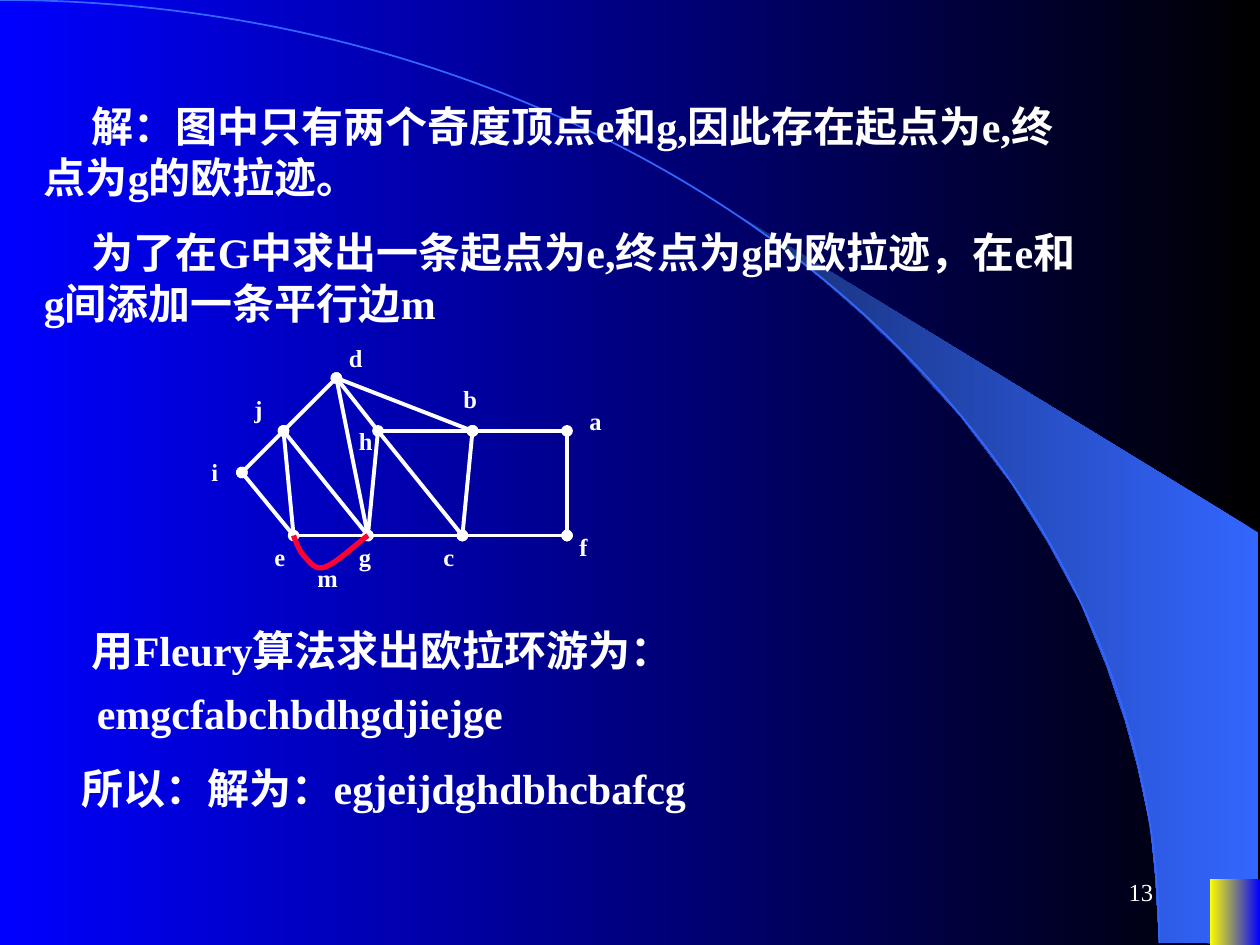
from pptx import Presentation
from pptx.dml.color import RGBColor as RGB
from pptx.enum.shapes import MSO_CONNECTOR as CONN, MSO_SHAPE as SHAPE
from pptx.enum.text import MSO_ANCHOR as ANCHOR, PP_ALIGN as ALIGN
from pptx.oxml.ns import qn
from pptx.util import Inches, Pt
from lxml.etree import SubElement

COLORS = {"black": "000000", "blue": "0000FF", "sky": "3366FF", "navy": "172F75",
          "yellow": "FFFF00", "white": "FFFFFF", "red": "FF0033"}
C = {name: RGB.from_string(value) for name, value in COLORS.items()}

prs = Presentation()
prs.slide_width, prs.slide_height = Inches(10), Inches(7.5)
s = prs.slides.add_slide(prs.slide_layouts[6])


def add_text(shapes, text, box, size, bold=True):
    tf = shapes.add_textbox(*map(Inches, box)).text_frame
    tf.word_wrap = True
    p = tf.paragraphs[0]
    p.text = text
    p.font.name, p.font.size, p.font.bold = "Times New Roman", Pt(size), bold
    p.font.color.rgb = C["white"]
    return p


def add_outline(shapes, outline, close):
    points = [tuple(map(Inches, pt)) for pt in outline]
    builder = shapes.build_freeform(*points[0])
    builder.add_line_segments(points[1:], close=close)
    return builder.convert_to_shape()


crescent = add_outline(s.shapes, [
    (9.2, 7.48), (9.99, 7.49), (9.99, 4.23), (5.89, 1.73), (6.24, 1.99), (6.53, 2.22),
    (6.85, 2.5), (7.16, 2.8), (7.62, 3.3), (8.03, 3.84), (8.32, 4.31), (8.58, 4.79),
    (8.78, 5.28), (8.93, 5.72), (9.03, 6.09), (9.13, 6.56), (9.17, 6.96)], True)
arc = s.shapes.add_shape(SHAPE.ARC, *map(Inches, (-9.2, 0, 18.4, 14.97)))
arc.shadow.inherit = False
arc.fill.background()
arc.line.color.rgb, arc.line.width = C["sky"], Pt(1)
corner = s.shapes.add_shape(SHAPE.RECTANGLE, *map(Inches, (9.6, 6.98, 0.4, 0.52)))

for sp in (crescent, corner):
    sp.shadow.inherit = False
    sp.line.fill.background()
for fill, names in ((s.background.fill, ("black", "blue")),
                    (crescent.fill, ("sky", "navy")),
                    (corner.fill, ("blue", "yellow"))):
    fill.gradient()
    fill.gradient_angle = 180
    for stop, name in zip(fill.gradient_stops, names):
        stop.color.rgb = C[name]

paragraphs = [
    ("解：图中只有两个奇度顶点e和g,因此存在起点为e,终点为g的欧拉迹。", 0.25, 0.75, 0.9, 0.38),
    ("为了在G中求出一条起点为e,终点为g的欧拉迹，在e和g间添加一条平行边m", 0.25, 1.75, 0.9, 0.38),
    ("用Fleury算法求出欧拉环游为：", 0.25, 4.91, 0.5, 0.38),
    ("emgcfabchbdhgdjiejge", 0.25, 5.41, 0.5, 0.42),
    ("所以：解为：egjeijdghdbhcbafcg", 0.17, 6, 0.5, 0.38),
]
for text, left, top, height, indent in paragraphs:
    p = add_text(s.shapes, text, (left, top, 8.42, height), 24)
    p.space_before = Pt(15)
    pPr = p._p.get_or_add_pPr()
    pPr.set("marL", "0")
    pPr.set("indent", str(Inches(indent)))

graph = s.shapes.add_group_shape().shapes
vertices = {"a": (4.5, 3.42), "b": (3.75, 3.42), "c": (3.67, 4.25), "d": (2.67, 3),
            "e": (2.33, 4.25), "f": (4.5, 4.25), "g": (2.92, 4.25), "h": (3, 3.42),
            "i": (1.92, 3.75), "j": (2.25, 3.42)}
edges = "dj ji ie db je eg jg dg dh hb hg gc hc bc cf ba af".split()
dotted_edges = "ji ie db jg dg hb bc cf af".split()
for edge in edges:
    start, end = (map(Inches, vertices[v]) for v in edge)
    line = graph.add_connector(CONN.STRAIGHT, *start, *end)
    line.line.color.rgb, line.line.width = C["white"], Pt(2.25)
    spPr = line._element.spPr
    if edge in dotted_edges:
        for tag in ("a:headEnd", "a:tailEnd"):
            SubElement(spPr.find(qn("a:ln")), qn(tag), type="oval")
    SubElement(spPr, qn("a:effectLst"))

labels = {"a": (4.58, 3.17), "f": (4.5, 4.17), "e": (2.08, 4.25), "d": (2.67, 2.67),
          "c": (3.42, 4.25), "b": (3.58, 3), "i": (1.58, 3.58), "h": (2.75, 3.33),
          "g": (2.75, 4.25), "j": (1.92, 3.08)}
for name, (left, top) in labels.items():
    add_text(graph, name, (left, top, 0.43, 0.34), 14)

added_edge = add_outline(graph, [
    vertices["e"], (2.35, 4.31), (2.38, 4.38), (2.42, 4.42), (2.46, 4.46), (2.5, 4.53),
    (2.58, 4.5), (2.67, 4.47), (2.86, 4.29), vertices["g"]], False)
added_edge.shadow.inherit = False
added_edge.fill.background()
added_edge.line.color.rgb, added_edge.line.width = C["red"], Pt(3)
outline = next(added_edge._element.iter(qn("a:path")))
segments = outline.findall(qn("a:lnTo"))
for k in range(0, len(segments), 3):
    curve = SubElement(outline, qn("a:cubicBezTo"))
    for segment in segments[k:k + 3]:
        curve.append(segment[0])
        outline.remove(segment)
add_text(graph, "m", (2.42, 4.42, 0.35, 0.34), 14)

p = add_text(s.shapes, "13", (7.17, 6.83, 2.08, 0.5), 14, bold=False)
p.alignment = ALIGN.RIGHT
s.shapes[-1].text_frame.vertical_anchor = ANCHOR.MIDDLE

prs.save("out.pptx")
